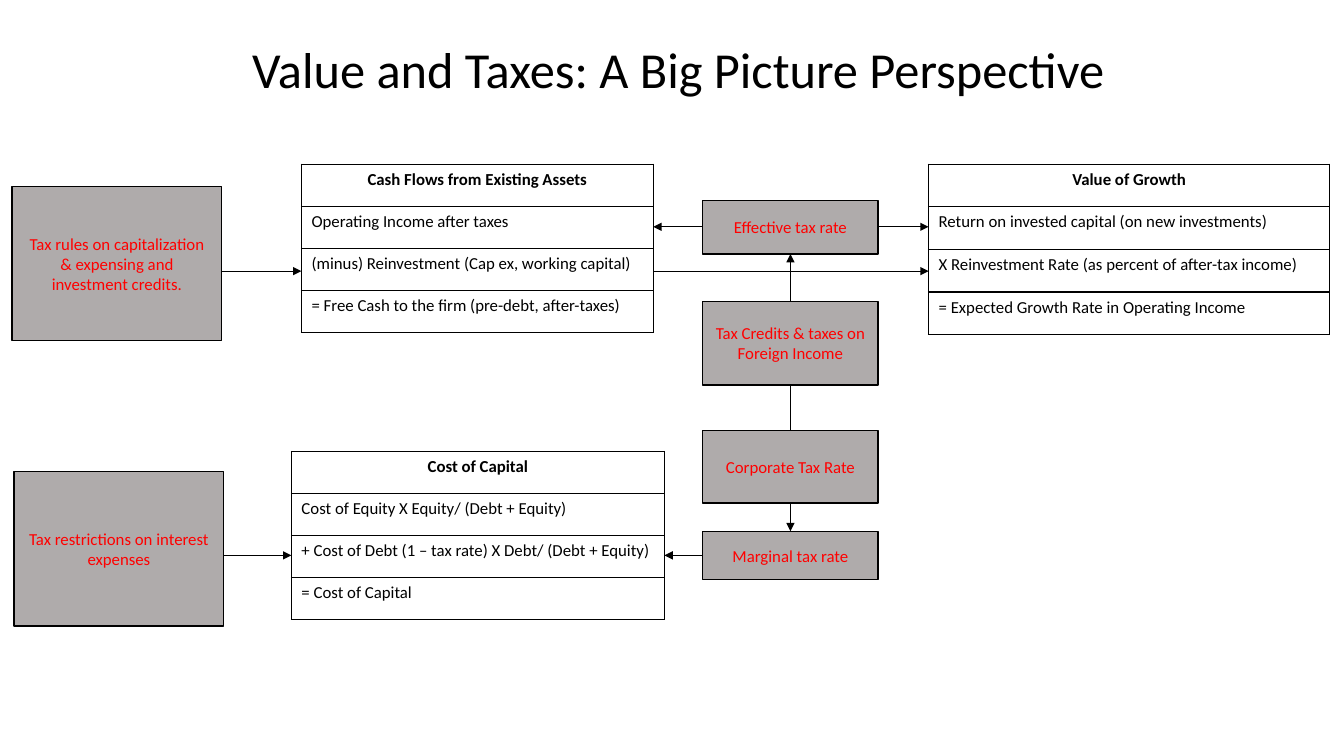
from lxml.etree import SubElement
from pptx import Presentation
from pptx.dml.color import RGBColor
from pptx.enum.shapes import MSO_CONNECTOR as CONN, MSO_SHAPE as SHAPE
from pptx.enum.text import MSO_ANCHOR as ANCHOR, PP_ALIGN as ALIGN
from pptx.oxml.ns import qn
from pptx.util import Inches, Pt

BLACK = RGBColor(0x00, 0x00, 0x00)
RED = RGBColor(0xFF, 0x00, 0x00)
GRAY = RGBColor(0xAF, 0xAB, 0xAB)
WHITE = RGBColor(0xFF, 0xFF, 0xFF)

TITLE = "Value and Taxes: A Big Picture Perspective"
RULE_W, RULE_H = 2.08, 1.53
RATE_X, RATE_W = 6.97, 1.74
BOXES = {
    "rules": ("Tax rules on capitalization & expensing and investment credits.",
              (0.12, 1.85, RULE_W, RULE_H)),
    "interest": ("Tax restrictions on interest expenses",
                 (0.14, 4.68, RULE_W, RULE_H)),
    "effective": ("Effective tax rate", (RATE_X, 1.99, RATE_W, 0.53)),
    "credits": ("Tax Credits & taxes on Foreign Income", (RATE_X, 2.99, RATE_W, 0.83)),
    "corporate": ("Corporate Tax Rate", (RATE_X, 4.27, RATE_W, 0.72)),
    "marginal": ("Marginal tax rate", (RATE_X, 5.27, RATE_W, 0.48)),
}
TABLES = {
    "cash": ((2.99, 1.63, 3.49, 1.67), [
        "Cash Flows from Existing Assets",
        "Operating Income after taxes",
        "(minus) Reinvestment (Cap ex, working capital)",
        "= Free Cash to the firm (pre-debt, after-taxes)"]),
    "capital": ((2.89, 4.48, 3.7, 1.67), [
        "Cost of Capital",
        "Cost of Equity X Equity/ (Debt + Equity)",
        "+ Cost of Debt (1 – tax rate) X Debt/ (Debt + Equity)",
        "= Cost of Capital"]),
    "growth": ((9.21, 1.63, 3.98, 1.69), [
        "Value of Growth",
        "Return on invested capital (on new investments)",
        "X Reinvestment Rate (as percent of after-tax income)",
        "= Expected Growth Rate in Operating Income"]),
}
INCOME_Y, REINVEST_Y, DEBT_Y = 2.25, 2.69, 5.51
ACROSS = [
    ("rules", "cash", REINVEST_Y),
    ("interest", "capital", DEBT_Y),
    ("marginal", "capital", DEBT_Y),
    ("cash", "growth", REINVEST_Y),
    ("effective", "cash", INCOME_Y),
    ("effective", "growth", INCOME_Y),
]
UPDOWN = [
    ("corporate", "marginal", True),
    ("credits", "effective", True),
    ("credits", "corporate", False),
]


def inches(values):
    return [Inches(v) for v in values]


def write(tf, text, align, size=12, color=BLACK, bold=False):
    p = tf.paragraphs[0]
    p.alignment = align
    r = p.add_run()
    r.text = text
    for name, value in {"name": "Calibri", "size": Pt(size), "bold": bold}.items():
        setattr(r.font, name, value)
    r.font.color.rgb = color


def add_box(s, text, frame):
    sp = s.shapes.add_shape(SHAPE.RECTANGLE, *inches(frame))
    sp.shadow.inherit = False
    sp.fill.solid()
    sp.fill.fore_color.rgb = GRAY
    sp.line.color.rgb = BLACK
    sp.line.width = Pt(1)
    tf = sp.text_frame
    tf.word_wrap = True
    tf.vertical_anchor = ANCHOR.MIDDLE
    write(tf, text, ALIGN.CENTER, color=RED)


def add_borders(cell):
    tc_pr = cell._tc.get_or_add_tcPr()
    for side in ("lnL", "lnR", "lnT", "lnB"):
        ln = SubElement(tc_pr, qn(f"a:{side}"), w=str(Pt(1)))
        fill = SubElement(ln, qn("a:solidFill"))
        SubElement(fill, qn("a:srgbClr"), val=str(BLACK))


def add_table(s, frame, lines):
    table = s.shapes.add_table(len(lines), 1, *inches(frame)).table
    table.horz_banding = False
    for i, text in enumerate(lines):
        cell = table.cell(i, 0)
        add_borders(cell)
        cell.fill.solid()
        cell.fill.fore_color.rgb = WHITE
        write(cell.text_frame, text, ALIGN.LEFT if i else ALIGN.CENTER, bold=i == 0)


def add_link(s, x1, y1, x2, y2, arrow=True):
    line = s.shapes.add_connector(CONN.STRAIGHT, *inches((x1, y1, x2, y2)))
    line.line.color.rgb = BLACK
    line.line.width = Pt(0.5)
    if arrow:
        SubElement(line.line._get_or_add_ln(), qn("a:tailEnd"), type="triangle")
    SubElement(line._element.spPr, qn("a:effectLst"))


def facing_edges(a, b, axis):
    start, end = FRAMES[a], FRAMES[b]
    if start[axis] < end[axis]:
        return start[axis] + start[axis + 2], end[axis]
    return start[axis], end[axis] + end[axis + 2]


FRAMES = {name: frame for name, (_, frame) in BOXES.items()}
FRAMES.update({name: frame for name, (frame, _) in TABLES.items()})

prs = Presentation()
prs.slide_width, prs.slide_height = Inches(13.33), Inches(7.5)
s = prs.slides.add_slide(prs.slide_layouts[5])

title = s.shapes.title
title.left, title.top, title.width, title.height = inches((2.36, 0.32, 8.74, 0.71))
title.text_frame.vertical_anchor = ANCHOR.MIDDLE
write(title.text_frame, TITLE, ALIGN.CENTER, size=36)

for text, frame in BOXES.values():
    add_box(s, text, frame)
for frame, lines in TABLES.values():
    add_table(s, frame, lines)
for a, b, y in ACROSS:
    x1, x2 = facing_edges(a, b, 0)
    add_link(s, x1, y, x2, y)
for a, b, arrow in UPDOWN:
    y1, y2 = facing_edges(a, b, 1)
    x = RATE_X + RATE_W / 2
    add_link(s, x, y1, x, y2, arrow)

prs.save("out.pptx")
